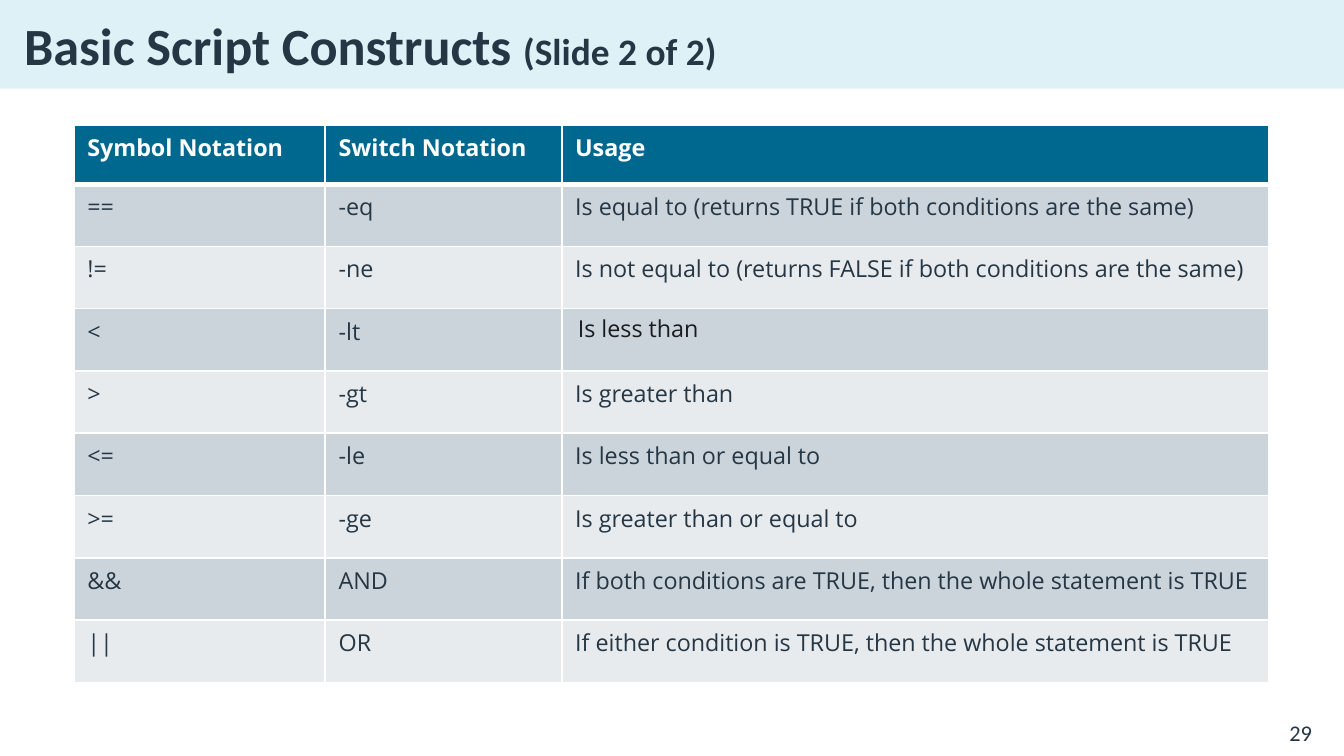
from lxml import etree
from pptx import Presentation, util as u
from pptx.dml.color import RGBColor
from pptx.enum import text
from pptx.oxml.ns import qn

WIDE = 10
HIGH = WIDE * 9 / 16
HUES = {"sky": "7FC8DD", "ink": "253644", "dark": "191D1F", "head": "00688E",
        "odd": "CCD4DB", "even": "E7EBEE", "white": "FFFFFF"}
COLS = (1.87, 1.76, 5.26)
HEAD = 0.44
ROWS = (
    ("Symbol Notation", "Switch Notation", "Usage"),
    ("==", "-eq", "Is equal to (returns TRUE if both conditions are the same)"),
    ("!=", "-ne", "Is not equal to (returns FALSE if both conditions are the same)"),
    ("<", "-lt", "Is less than"),
    (">", "-gt", "Is greater than"),
    ("<=", "-le", "Is less than or equal to"),
    (">=", "-ge", "Is greater than or equal to"),
    ("&&", "AND", "If both conditions are TRUE, then the whole statement is TRUE"),
    ("||", "OR", "If either condition is TRUE, then the whole statement is TRUE"),
)


def hue(name):
    return RGBColor.from_string(HUES[name])


def paint(item, name):
    item.fill.solid()
    item.fill.fore_color.rgb = hue(name)


def add_run(par, words, size, name="ink", font="Calibri", bold=False):
    run = par.add_run()
    run.text = words
    run.font.size = u.Pt(size)
    run.font.name = font
    run.font.bold = bold
    run.font.color.rgb = hue(name)


def add_title(slide):
    title = slide.shapes.title
    title.left, title.top = 0, 0
    title.width, title.height = u.Inches(WIDE), u.Inches(0.66)
    paint(title, "sky")
    tint = title.fill._xPr.find(".//" + qn("a:srgbClr"))
    etree.SubElement(tint, qn("a:alpha"), val="25000")
    frame = title.text_frame
    frame.auto_size = text.MSO_AUTO_SIZE.NONE
    frame.vertical_anchor = text.MSO_ANCHOR.MIDDLE
    frame.margin_left = u.Inches(0.18)
    par = frame.paragraphs[0]
    par.alignment = text.PP_ALIGN.LEFT
    add_run(par, "Basic Script Constructs ", 28, bold=True)
    add_run(par, "(Slide 2 of 2)", 20, bold=True)


def add_edges(cell, base):
    props = cell._tc.get_or_add_tcPr()
    for side, width in zip("LRTB", (1, 1, 1, base)):
        line = etree.SubElement(props, qn("a:ln" + side), w=str(u.Pt(width)))
        fill = etree.SubElement(line, qn("a:solidFill"))
        etree.SubElement(fill, qn("a:srgbClr"), val=HUES["white"])


def add_grid(slide):
    high = 4.15
    shape = slide.shapes.add_table(
        len(ROWS), len(COLS), u.Inches(0.55), u.Inches(0.93),
        u.Inches(sum(COLS)), u.Inches(high))
    grid = shape.table
    for col, width in zip(grid.columns, COLS):
        col.width = u.Inches(width)
    step = (high - HEAD) / (len(ROWS) - 1)
    for i, words in enumerate(ROWS):
        top = i == 0
        grid.rows[i].height = u.Inches(HEAD if top else step)
        for j, word in enumerate(words):
            cell = grid.cell(i, j)
            add_edges(cell, 3 if top else 1)
            paint(cell, "head" if top else "odd" if i % 2 else "even")
            less = word == "Is less than"
            if less:
                cell.margin_left = u.Inches(0.12)
                cell.margin_top = u.Inches(0.03)
            name = "white" if top else "dark" if less else "ink"
            add_run(cell.text_frame.paragraphs[0], word, 12.5, name,
                    "Open Sans", top)


def add_number(slide):
    box = slide.shapes.add_textbox(
        u.Inches(WIDE * 0.934), u.Inches(HIGH * 0.95),
        u.Inches(0.52), u.Inches(0.22))
    frame = box.text_frame
    frame.word_wrap = True
    frame.vertical_anchor = text.MSO_ANCHOR.MIDDLE
    par = frame.paragraphs[0]
    par.alignment = text.PP_ALIGN.RIGHT
    add_run(par, "29", 12)


def main():
    deck = Presentation()
    deck.slide_width, deck.slide_height = u.Inches(WIDE), u.Inches(HIGH)
    slide = deck.slides.add_slide(deck.slide_layouts[5])
    add_title(slide)
    add_number(slide)
    add_grid(slide)
    deck.save("out.pptx")


if __name__ == "__main__":
    main()
